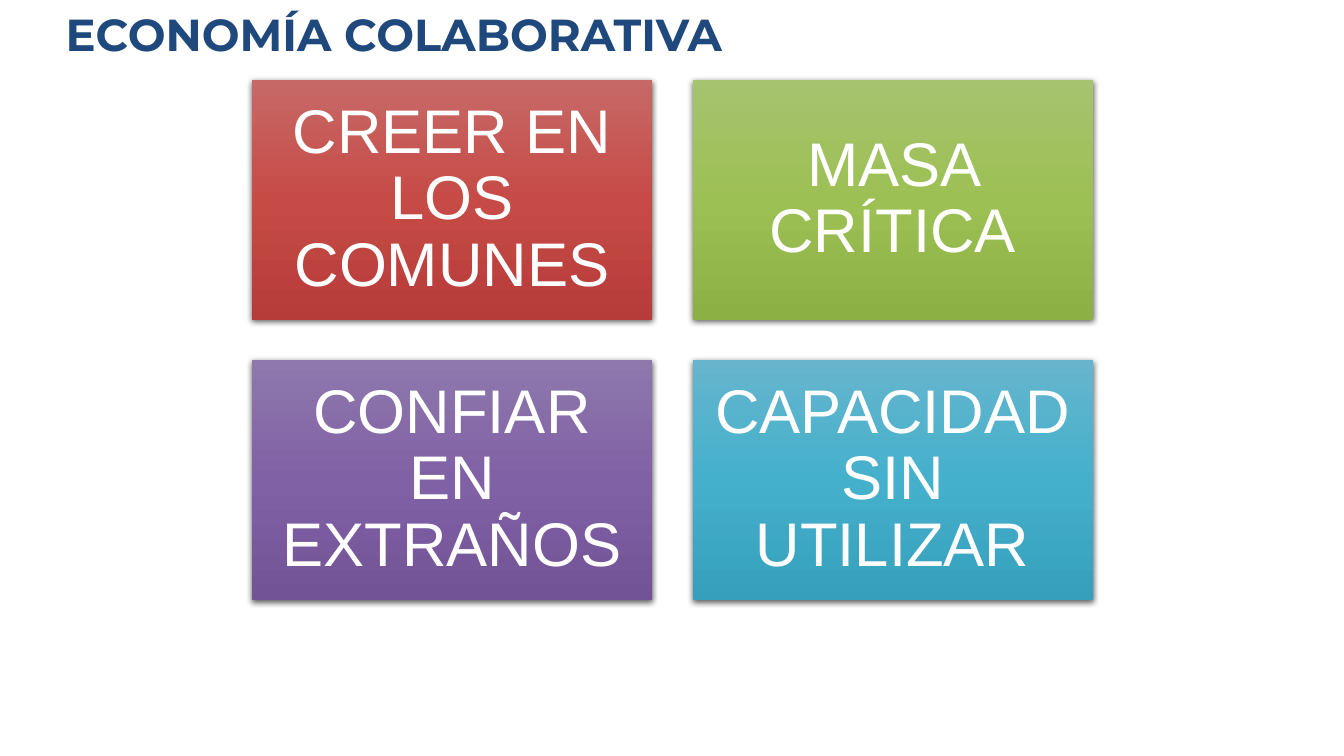
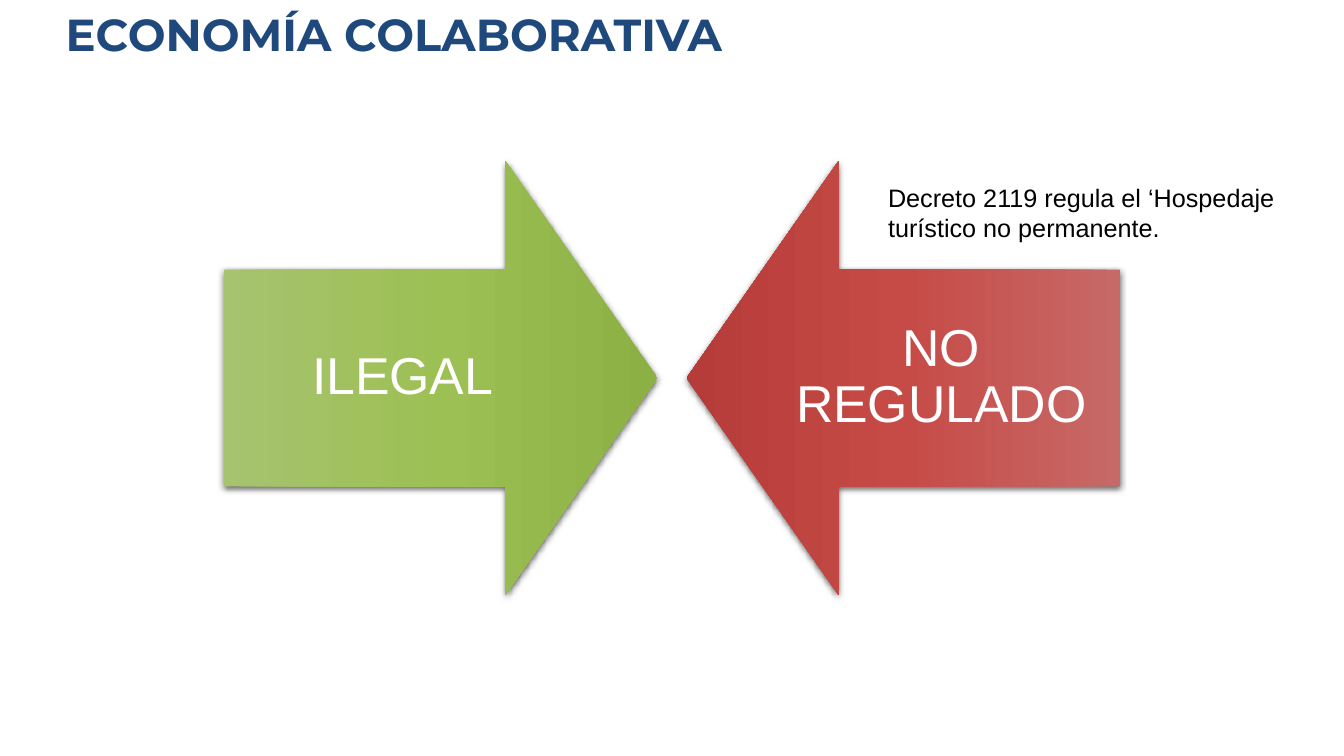
from copy import deepcopy
from dataclasses import dataclass

import lxml.etree
import pptx
import pptx.dml.color
import pptx.enum.shapes
import pptx.enum.text
import pptx.oxml.ns
import pptx.util

Inches, Pt = pptx.util.Inches, pptx.util.Pt
RGB = pptx.dml.color.RGBColor.from_string
SHAPE = pptx.enum.shapes.MSO_SHAPE
ALIGN = pptx.enum.text.PP_ALIGN
ANCHOR = pptx.enum.text.MSO_ANCHOR
AUTO_SIZE = pptx.enum.text.MSO_AUTO_SIZE
qn = pptx.oxml.ns.qn

COLORS = {"title": "1F497D", "light": "FFFFFF", "dark": "000000"}
GRADIENTS = {
    "red": ("C76967", "C64B47", "B63C39"),
    "green": ("A6C36F", "9DC054", "8DB045"),
    "purple": ("8E78AC", "8061A5", "715396"),
    "blue": ("66B5CD", "45B0CC", "36A0BC"),
}
TITLE = "ECONOMÍA COLABORATIVA"

# Grid of cards: origin, card size and gap
GRID_LEFT, GRID_TOP, CARD_W, CARD_H, GAP = 2.5, 0.79, 3.97, 2.38, 0.4
# Facing arrows
ARROW_TOP, ARROW_SIDE = 1.6, 4.3


@dataclass
class Card:
    text: str
    gradient: str
    col: int
    row: int


@dataclass
class Arrow:
    text: str
    gradient: str
    left: float
    kind: int
    angle: int


CARDS = [
    Card("CREER EN LOS COMUNES", "red", 0, 0),
    Card("MASA CRÍTICA", "green", 1, 0),
    Card("CONFIAR EN EXTRAÑOS", "purple", 0, 1),
    Card("CAPACIDAD SIN UTILIZAR", "blue", 1, 1),
]
ARROWS = [
    Arrow("ILEGAL", "green", 2.22, SHAPE.RIGHT_ARROW, 0),
    Arrow("NO REGULADO", "red", 6.81, SHAPE.LEFT_ARROW, 180),
]


def add_titled_slide(prs):
    """Add a slide with the shared title."""
    s = prs.slides.add_slide(prs.slide_layouts[5])
    title = s.shapes.title
    title.left, title.top = Inches(0.55), Inches(0.02)
    title.width, title.height = Inches(10.62), Inches(1.25)
    tf = title.text_frame
    tf.text = TITLE
    tf.auto_size = AUTO_SIZE.NONE
    tf.vertical_anchor = ANCHOR.TOP
    p = tf.paragraphs[0]
    p.alignment = ALIGN.LEFT
    set_font(p, "Montserrat", 32, "title")
    p.font.bold = True
    return s


def set_font(p, name: str, size: float, color: str) -> None:
    p.font.name = name
    p.font.size = Pt(size)
    p.font.color.rgb = RGB(COLORS[color])


def set_gradient(sp, name: str, angle: int) -> None:
    """Fill with three evenly spaced stops; angle is counter-clockwise."""
    sp.fill.gradient()
    sp.fill.gradient_angle = angle
    stops = sp._element.spPr.find(".//" + qn("a:gsLst"))
    stops.append(deepcopy(stops[0]))
    for i, (stop, color) in enumerate(zip(sp.fill.gradient_stops, GRADIENTS[name])):
        stop.color.rgb = RGB(color)
        stop.position = i / 2


def set_shadow(sp) -> None:
    """Soft shadow straight below the shape."""
    sp.shadow.inherit = False
    effects = sp._element.spPr.find(qn("a:effectLst"))
    shadow = lxml.etree.SubElement(
        effects, qn("a:outerShdw"), blurRad=str(Pt(4.5)), dist=str(Pt(1.5)),
        dir="5400000", algn="ctr", rotWithShape="0")
    color = lxml.etree.SubElement(shadow, qn("a:srgbClr"), val=COLORS["dark"])
    lxml.etree.SubElement(color, qn("a:alpha"), val="63000")


def add_block(s, kind: int, box: tuple[float, ...], text: str, gradient: str,
              angle: int, size: float, inset: float):
    """Add a shaded shape with centred light text."""
    sp = s.shapes.add_shape(kind, *map(Inches, box))
    set_gradient(sp, gradient, angle)
    sp.line.fill.background()
    set_shadow(sp)
    tf = sp.text_frame
    tf.word_wrap = True
    tf.vertical_anchor = ANCHOR.MIDDLE
    tf.margin_left = tf.margin_right = Inches(inset)
    tf.margin_top = tf.margin_bottom = Inches(inset)
    p = tf.paragraphs[0]
    p.text = text
    p.alignment = ALIGN.CENTER
    p.line_spacing = 0.9
    set_font(p, "Arial", size, "light")
    return sp


def build_cards(prs) -> None:
    s = add_titled_slide(prs)
    for card in CARDS:
        left = GRID_LEFT + card.col * (CARD_W + GAP)
        top = GRID_TOP + card.row * (CARD_H + GAP)
        add_block(s, SHAPE.RECTANGLE, (left, top, CARD_W, CARD_H),
                  card.text, card.gradient, 270, 44, 0.18)


def build_arrows(prs) -> None:
    s = add_titled_slide(prs)
    for arrow in ARROWS:
        sp = add_block(s, arrow.kind, (arrow.left, ARROW_TOP, ARROW_SIDE, ARROW_SIDE),
                       arrow.text, arrow.gradient, arrow.angle, 37, 0.29)
        sp.adjustments[0] = 0.5
        sp.adjustments[1] = 0.35

    # Note beside the right-hand arrow
    note = s.shapes.add_textbox(*map(Inches, (8.71, 1.76, 4.14, 0.71)))
    tf = note.text_frame
    tf.word_wrap = True
    tf.auto_size = AUTO_SIZE.SHAPE_TO_FIT_TEXT
    p = tf.paragraphs[0]
    p.text = "Decreto 2119 regula el ‘Hospedaje turístico no permanente."
    set_font(p, "Arial", 18, "dark")


def main() -> None:
    prs = pptx.Presentation()
    prs.slide_width, prs.slide_height = Inches(13.33), Inches(7.5)
    build_cards(prs)
    build_arrows(prs)
    prs.save("out.pptx")


if __name__ == "__main__":
    main()
